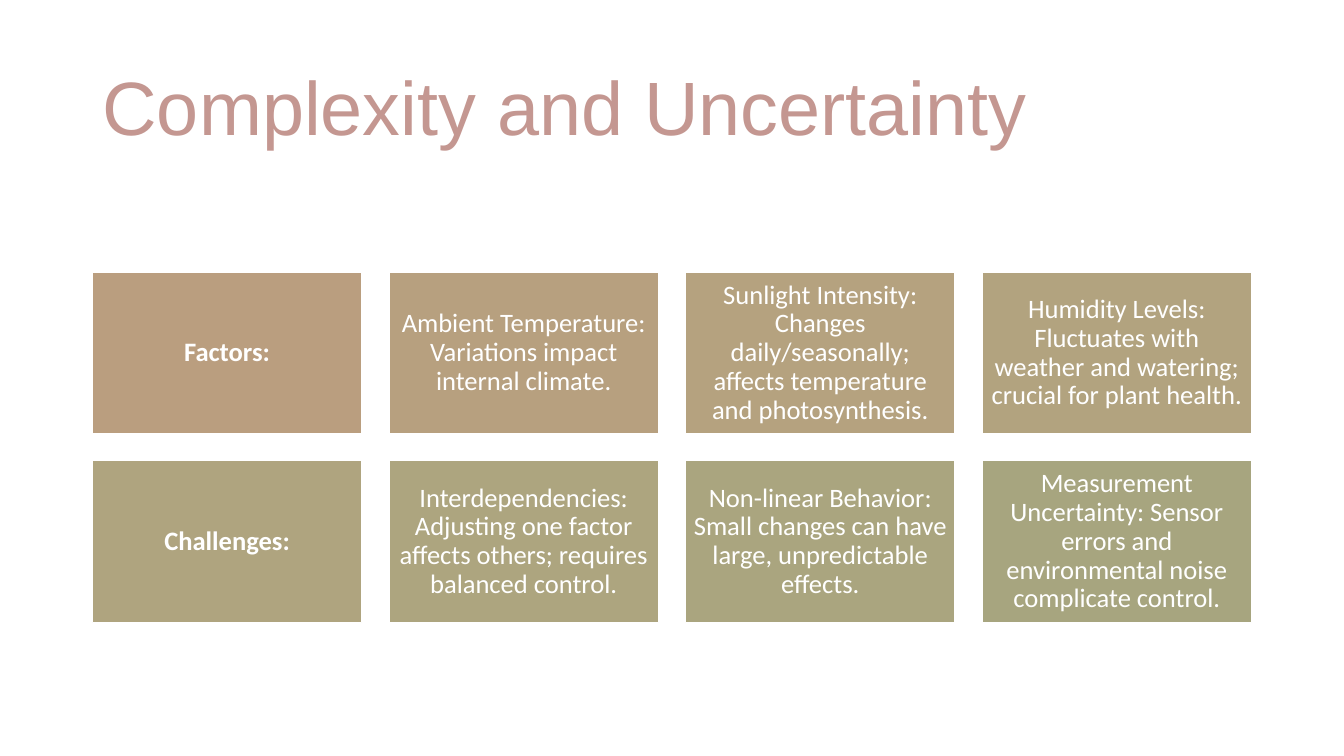
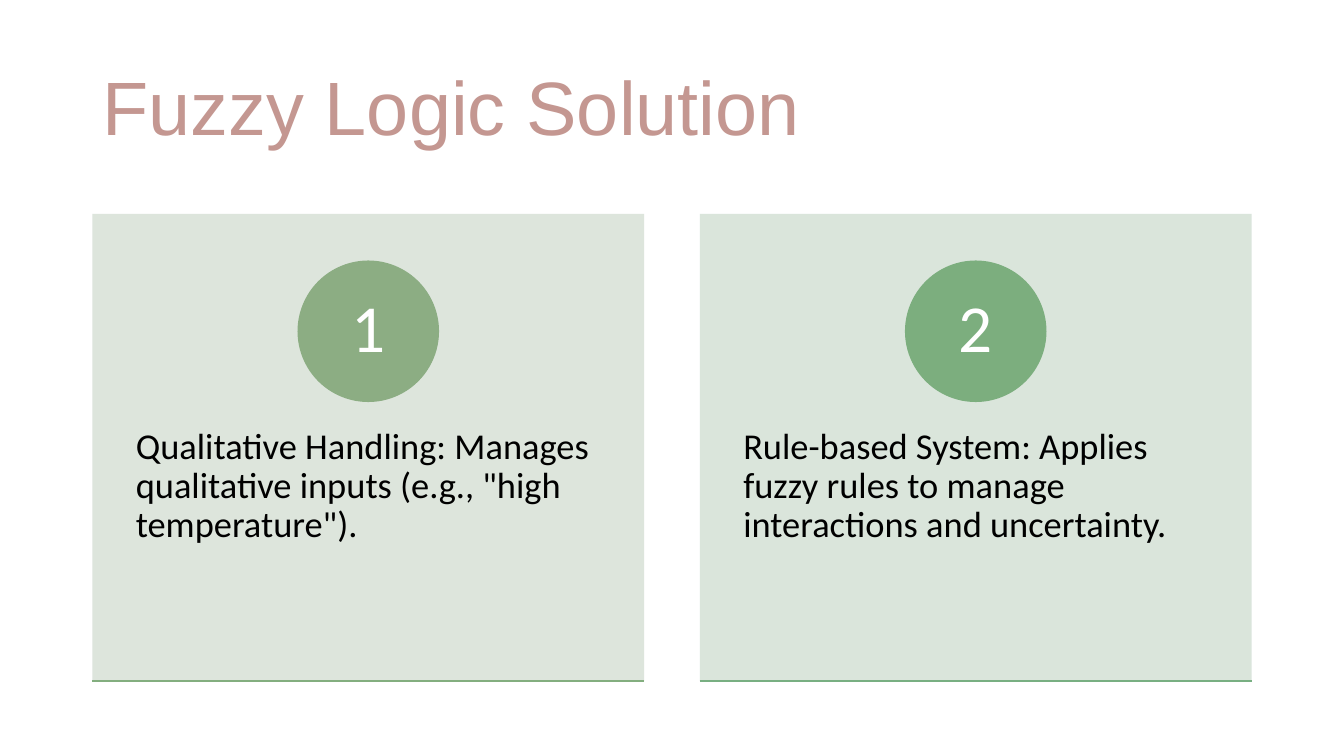
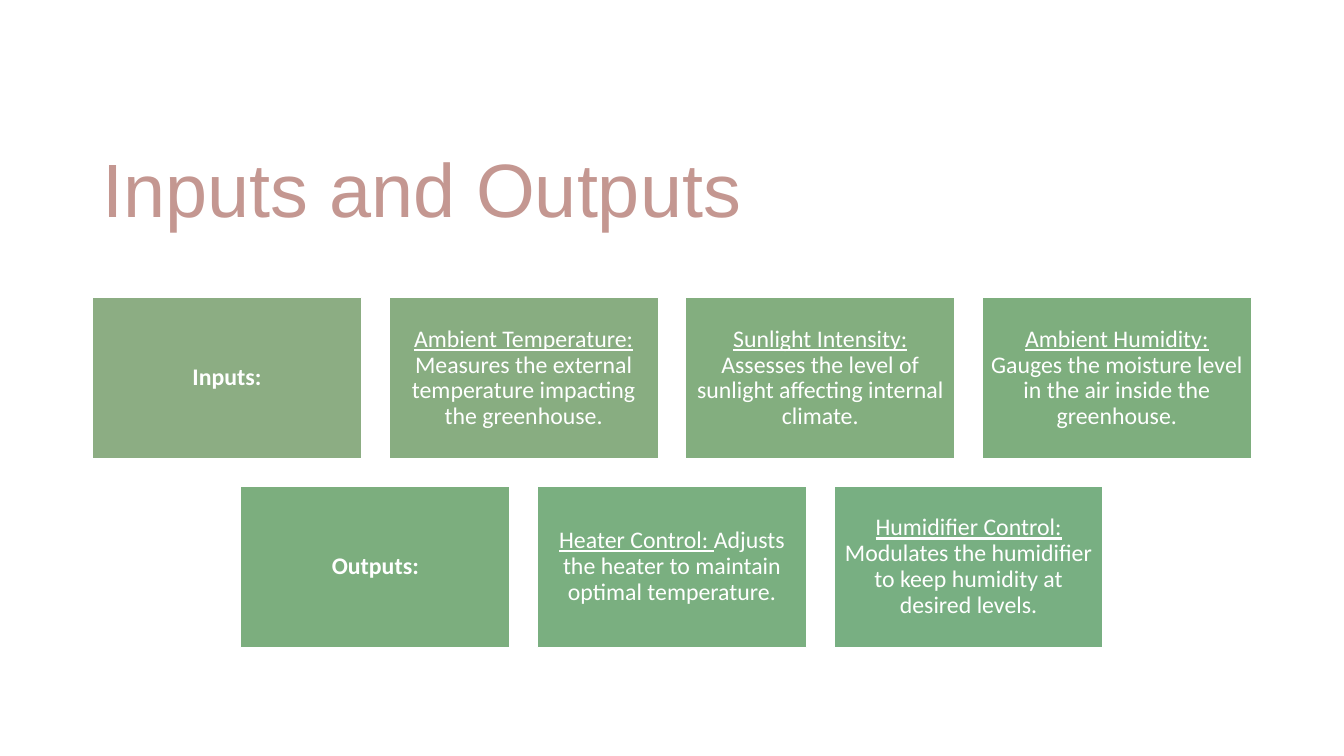
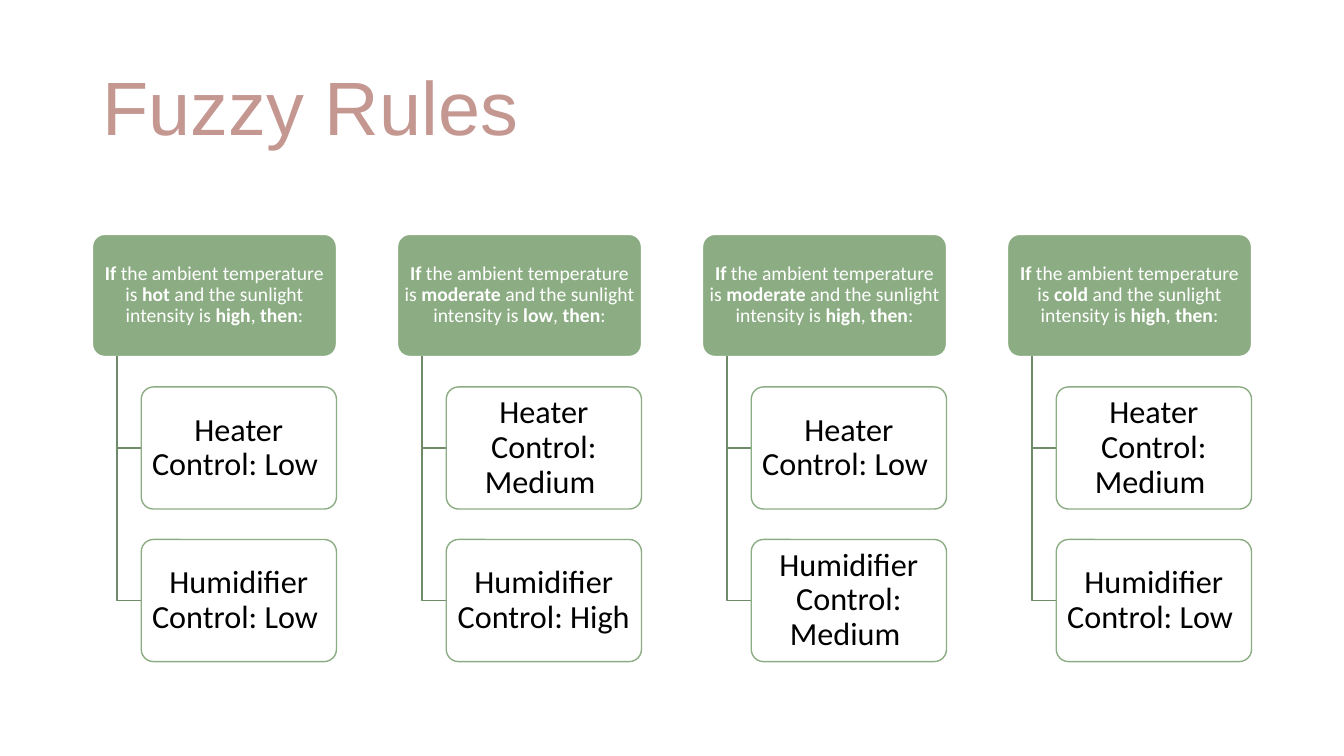
from pptx import Presentation
from pptx import util as u
from pptx.dml.color import RGBColor
from pptx.enum import shapes, text
from pptx.oxml import ns
from lxml import etree

# Shared style; all lengths are percent of the slide's width or height
WHITE, BLACK = "FFFFFF", "000000"
TITLE_FROM, TITLE_TO = "C49791", "3E3423"
SAGE, ELBOW = "8CAD83", "708B69"
TITLE_FONT, BODY_FONT = "Arial", "Calibri"
MARGIN = 6.88
CONTENT = 100 - 2 * MARGIN
RECT = shapes.MSO_SHAPE.RECTANGLE
ROUND = shapes.MSO_SHAPE.ROUNDED_RECTANGLE
OVAL = shapes.MSO_SHAPE.OVAL
TOP, MIDDLE, BOTTOM = (text.MSO_ANCHOR.TOP, text.MSO_ANCHOR.MIDDLE,
                       text.MSO_ANCHOR.BOTTOM)
LEFT, CENTER = text.PP_ALIGN.LEFT, text.PP_ALIGN.CENTER


def colour(hex_value):
    return RGBColor.from_string(hex_value)


def columns(count, gap, width=None):
    """Left edges and width of equal columns, centred on the slide."""
    width = width or (CONTENT - (count - 1) * gap) / count
    start = (100 - count * width - (count - 1) * gap) / 2
    return [start + i * (width + gap) for i in range(count)], width


class Deck:
    def __init__(self):
        self.prs = Presentation()
        self.prs.slide_width = u.Inches(13.33)
        self.prs.slide_height = u.Inches(7.5)
        self.slide = None

    def x(self, percent):
        return round(self.prs.slide_width * percent / 100)

    def y(self, percent):
        return round(self.prs.slide_height * percent / 100)

    def box(self, left, top, width, height):
        return self.x(left), self.y(top), self.x(width), self.y(height)

    def new_slide(self, title, height=15.2):
        self.slide = self.prs.slides.add_slide(self.prs.slide_layouts[6])
        heading = self.slide.shapes.add_textbox(
            *self.box(MARGIN, 5.33, CONTENT, height))
        frame = heading.text_frame
        frame.word_wrap = True
        frame.vertical_anchor = BOTTOM
        run = frame.paragraphs[0].add_run()
        run.text = title
        run.font.size, run.font.name = u.Pt(54), TITLE_FONT
        run.font.fill.gradient()
        run.font.fill.gradient_angle = 0
        for stop, tone in zip(run.font.fill.gradient_stops, (TITLE_FROM, TITLE_TO)):
            stop.color.rgb = colour(tone)

    def add_text(self, shape, runs, size, tone, insets, align=CENTER, anchor=MIDDLE):
        """Runs are (words, style) pairs; style is "", "b" or "u"."""
        frame = shape.text_frame
        frame.word_wrap = True
        frame.vertical_anchor = anchor
        (frame.margin_left, frame.margin_top,
         frame.margin_right, frame.margin_bottom) = map(u.Inches, insets)
        paragraph = frame.paragraphs[0]
        paragraph.alignment, paragraph.line_spacing = align, 0.9
        for words, style in runs:
            run = paragraph.add_run()
            run.text = words
            run.font.size, run.font.name = u.Pt(size), BODY_FONT
            run.font.color.rgb = colour(tone)
            run.font.bold = style == "b"
            run.font.underline = style == "u"

    def shape(self, kind, area, fill, line=None, opacity=100):
        shape = self.slide.shapes.add_shape(kind, *self.box(*area))
        shape.shadow.inherit = False
        if kind == ROUND:
            shape.adjustments[0] = 0.1
        shape.fill.solid()
        shape.fill.fore_color.rgb = colour(fill)
        if opacity < 100:
            tint = shape.element.spPr.find(".//" + ns.qn("a:srgbClr"))
            etree.SubElement(tint, ns.qn("a:alpha")).set("val", str(opacity * 1000))
        if line:
            shape.line.color.rgb = colour(line)
            shape.line.width = u.Pt(1)
        else:
            shape.line.fill.background()
        return shape

    def rule(self, left, right, y, tone):
        line = self.slide.shapes.add_connector(
            shapes.MSO_CONNECTOR.STRAIGHT,
            self.x(left), self.y(y), self.x(right), self.y(y))
        line.line.color.rgb = colour(tone)
        line.line.width = u.Pt(1)
        etree.SubElement(line.element.spPr, ns.qn("a:effectLst"))

    def elbow(self, left, top, right, bottom):
        pen = self.slide.shapes.build_freeform(self.x(left), self.y(top))
        pen.add_line_segments([(self.x(left), self.y(bottom)),
                               (self.x(right), self.y(bottom))], close=False)
        elbow = pen.convert_to_shape()
        elbow.shadow.inherit = False
        elbow.fill.background()
        elbow.line.color.rgb = colour(ELBOW)
        elbow.line.width = u.Pt(1)

    def tiles(self, top, rows, size, inset):
        """Rows of tiles on a four-column grid; short rows are centred."""
        gap, height, row_step = 2.03, 21.4, 24.95
        _, width = columns(4, gap)
        for row_number, row in enumerate(rows):
            lefts, _ = columns(len(row), gap, width)
            for left, (fill, *runs) in zip(lefts, row):
                area = left, top + row_number * row_step, width, height
                tile = self.shape(RECT, area, fill, WHITE)
                self.add_text(tile, runs, size, WHITE, [inset] * 4)

    def card(self, left, width, number, words, back, disc, edge):
        top, height, disc_w, disc_h = 28.3, 61.8, 10.43, 18.54
        panel = self.shape(RECT, (left, top, width, height), back, opacity=90)
        self.add_text(panel, [(words, "")], 26, BLACK, (0.43, 2.12, 0.43, 0.36),
                      LEFT, TOP)
        badge = self.shape(OVAL, (left + (width - disc_w) / 2, 34.55, disc_w, disc_h),
                           disc, disc)
        self.add_text(badge, [(number, "")], 48, WHITE, (0.11, 0.01, 0.11, 0.01))
        self.rule(left, left + width, top + height, edge)

    def rule_tree(self, left, width, condition, outcomes):
        top, height, step = 31, 16.15, 20.18
        head = self.shape(ROUND, (left, top, width, height), SAGE, WHITE)
        self.add_text(head, condition, 14, WHITE, (0.03, 0.02, 0.03, 0.02))
        spine, branch = left + 0.1 * width, left + 0.2 * width
        for level, outcome in enumerate(outcomes, 1):
            child_top = top + level * step
            self.elbow(spine, top + height, branch, child_top + height / 2)
            child = self.shape(ROUND, (branch, child_top, 0.8 * width, height),
                               WHITE, SAGE, opacity=90)
            self.add_text(child, [(outcome, "")], 23, BLACK, (0.05, 0.03, 0.05, 0.03))


def main():
    deck = Deck()

    # Complexity and uncertainty
    deck.new_slide("Complexity and Uncertainty")
    factors = [
        ("BA9E7F", ("Factors:", "b")),
        ("B7A07F", ("Ambient Temperature: Variations impact internal climate.", "")),
        ("B5A27F", ("Sunlight Intensity: Changes daily/seasonally; affects "
                    "temperature and photosynthesis.", "")),
        ("B2A37F", ("Humidity Levels: Fluctuates with weather and watering; "
                    "crucial for plant health.", "")),
    ]
    challenges = [
        ("AFA47F", ("Challenges:", "b")),
        ("ADA57F", ("Interdependencies: Adjusting one factor affects others; "
                    "requires balanced control.", "")),
        ("AAA57F", ("Non-linear Behavior: Small changes can have large, "
                    "unpredictable effects.", "")),
        ("A7A57F", ("Measurement Uncertainty: Sensor errors and environmental "
                    "noise complicate control.", "")),
    ]
    deck.tiles(36, [factors, challenges], 19, 0.08)

    # Fuzzy logic solution
    deck.new_slide("Fuzzy Logic Solution")
    solutions = [
        ("1", 'Qualitative Handling: Manages qualitative inputs (e.g., "high '
              'temperature").', "DAE3D9", SAGE, "83AE7F"),
        ("2", "Rule-based System: Applies fuzzy rules to manage interactions and "
              "uncertainty.", "D6E3D8", "7CAE7E", "78AF82"),
    ]
    lefts, width = columns(2, 4.15)
    for left, solution in zip(lefts, solutions):
        deck.card(left, width, *solution)

    # Inputs and outputs
    deck.new_slide("Inputs and Outputs", height=26.13)
    inputs = [
        (SAGE, ("Inputs:", "b")),
        ("88AD81", ("Ambient Temperature: ", "u"),
         ("Measures the external temperature impacting the greenhouse.", "")),
        ("83AE7F", ("Sunlight Intensity: ", "u"),
         ("Assesses the level of sunlight affecting internal climate.", "")),
        ("7EAE7E", ("Ambient Humidity: ", "u"),
         ("Gauges the moisture level in the air inside the greenhouse.", "")),
    ]
    outputs = [
        ("7CAE7E", ("Outputs:", "b")),
        ("7AAF80", ("Heater Control: ", "u"),
         ("Adjusts the heater to maintain optimal temperature.", "")),
        ("78AF82", ("Humidifier Control: ", "u"),
         ("Modulates the humidifier to keep humidity at desired levels.", "")),
    ]
    deck.tiles(39.33, [inputs, outputs], 17, 0.07)

    # Fuzzy rules: temperature, sunlight, heater, humidifier
    deck.new_slide("Fuzzy Rules")
    rules = [
        ("hot", "high", "Low", "Low"),
        ("moderate", "low", "Medium", "High"),
        ("moderate", "high", "Low", "Medium"),
        ("cold", "high", "Medium", "Low"),
    ]
    lefts, width = columns(4, 4.54)
    for left, (temperature, sunlight, heater, humidifier) in zip(lefts, rules):
        condition = [("If", "b"), (" the ambient temperature is ", ""),
                     (temperature, "b"), (" and the sunlight intensity is ", ""),
                     (sunlight, "b"), (", ", ""), ("then", "b"), (":", "")]
        deck.rule_tree(left, width, condition,
                       [f"Heater Control: {heater} ",
                        f"Humidifier Control: {humidifier} "])

    deck.prs.save("out.pptx")


if __name__ == "__main__":
    main()
